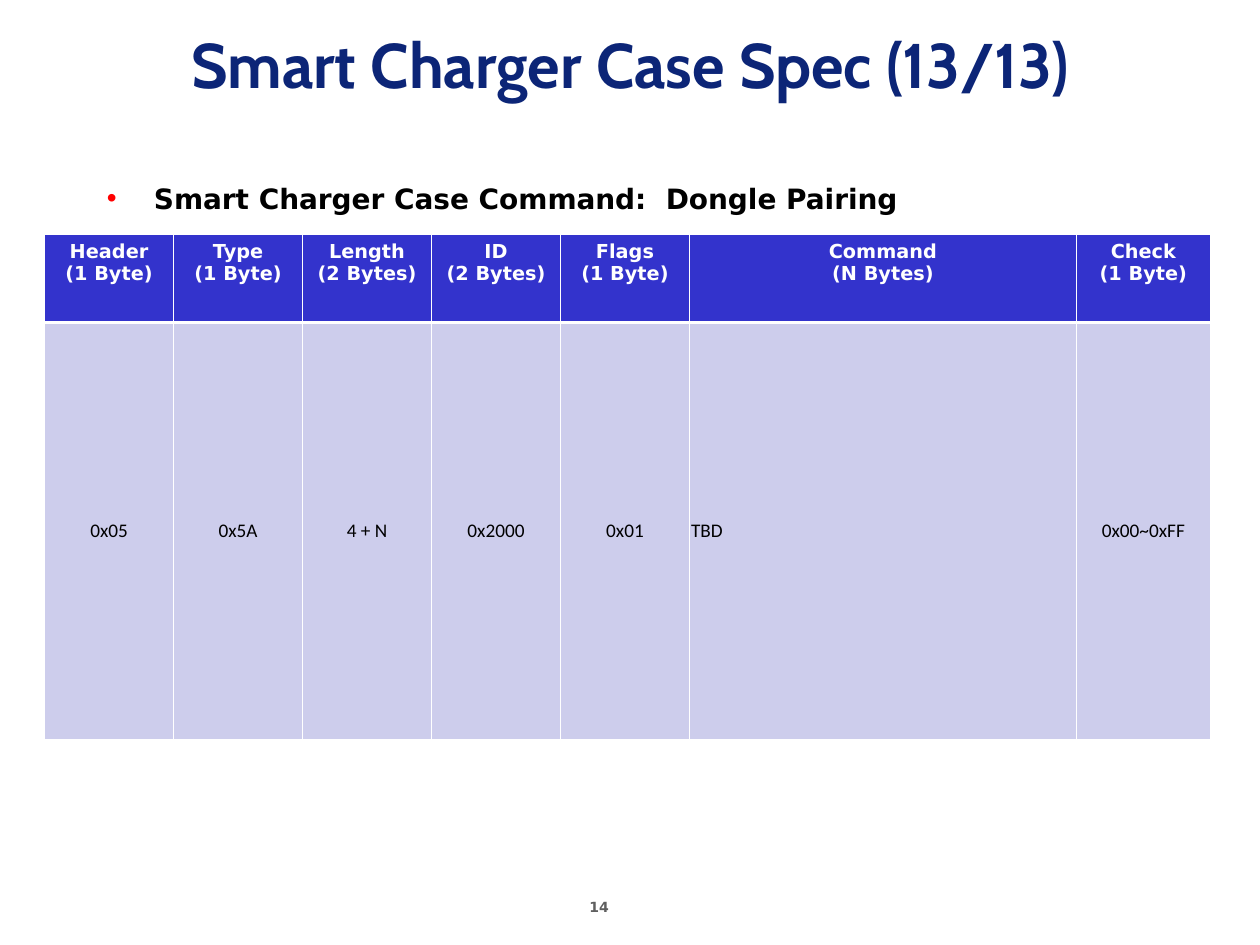
from lxml.etree import SubElement
from pptx import Presentation
from pptx.dml.color import RGBColor
from pptx.enum.text import MSO_ANCHOR as ANCHOR, MSO_AUTO_SIZE as AUTO, PP_ALIGN as ALIGN
from pptx.oxml.ns import qn
from pptx.util import Cm, Pt

NAVY = RGBColor(0x0C, 0x25, 0x77)
BLUE = RGBColor(0x33, 0x33, 0xCC)
LAVENDER = RGBColor(0xCD, 0xCD, 0xEC)
RED = RGBColor(0xFF, 0x00, 0x00)
GREY = RGBColor(0x5F, 0x5F, 0x5F)
BLACK = RGBColor(0x00, 0x00, 0x00)
WHITE = RGBColor(0xFF, 0xFF, 0xFF)

THIN, THICK = Pt(0.45), Pt(1.47)

FIELDS = [  # name, size, value, column width in cm
    ("Header", "(1 Byte)", "0x05", 2.6),
    ("Type", "(1 Byte)", "0x5A", 2.6),
    ("Length", "(2 Bytes)", "4 + N", 2.6),
    ("ID", "(2 Bytes)", "0x2000", 2.6),
    ("Flags", "(1 Byte)", "0x01", 2.6),
    ("Command", "(N Bytes)", "TBD", 7.8),
    ("Check", "(1 Byte)", "0x00~0xFF", 2.7),
]


class CommandSlide:
    heading_font, label_font, value_font = "Cabin", "DejaVu Sans", "Calibri"

    def __init__(self, prs):
        self.s = prs.slides.add_slide(prs.slide_layouts[1])

    def place(self, sp, left, top, width, height):
        sp.left, sp.top, sp.width, sp.height = Cm(left), Cm(top), Cm(width), Cm(height)

    def add_text(self, p, text, size, color, font, bold=True, align=ALIGN.LEFT):
        p.alignment = align
        r = p.add_run()
        r.text = text
        r.font.size, r.font.name, r.font.bold = Pt(size), font, bold
        r.font.color.rgb = color

    def title(self, text):
        sp = self.s.shapes.title
        self.place(sp, 0, 0, 25.4, 2.54)
        tf = sp.text_frame
        tf.auto_size, tf.vertical_anchor = AUTO.NONE, ANCHOR.MIDDLE
        self.add_text(tf.paragraphs[0], text, 36, NAVY, self.heading_font, align=ALIGN.CENTER)

    def bullet(self, text):
        sp = self.s.placeholders[1]
        self.place(sp, 1.9, 3.53, 23.5, 13.13)
        tf = sp.text_frame
        tf.auto_size = AUTO.NONE
        p = tf.paragraphs[0]
        p.space_before = Pt(4)
        self.add_text(p, text, 16, BLACK, self.label_font)
        pPr = p._p.get_or_add_pPr()
        pPr.set("marL", str(Cm(0.95)))
        pPr.set("indent", str(-Cm(0.95)))
        bullet_color = SubElement(pPr, qn("a:buClr"))
        SubElement(bullet_color, qn("a:srgbClr"), val=str(RED))
        SubElement(pPr, qn("a:buChar"), char="•")

    def page_number(self, number):
        sp = self.s.shapes.add_textbox(Cm(11.63), Cm(17.98), Cm(1.96), Cm(0.66))
        tf = sp.text_frame
        tf.word_wrap = False
        self.add_text(tf.paragraphs[0], number, 8, GREY, self.label_font)

    def table(self, fields):
        frame = self.s.shapes.add_table(2, len(fields), Cm(0.9), Cm(4.72), Cm(23.5), Cm(10.19))
        table = frame.table
        table.rows[0].height, table.rows[1].height = Cm(1.78), Cm(8.41)
        for i, (name, size, value, width) in enumerate(fields):
            table.columns[i].width = Cm(width)
            self.header_cell(table.cell(0, i), name, size)
            align = ALIGN.LEFT if name == "Command" else ALIGN.CENTER
            self.value_cell(table.cell(1, i), value, align)

    def header_cell(self, cell, name, size):
        tf = cell.text_frame
        for p, text in ((tf.paragraphs[0], name), (tf.add_paragraph(), size)):
            self.add_text(p, text, 11, WHITE, self.label_font, align=ALIGN.CENTER)
        self.finish_cell(cell, BLUE, top=THIN, bottom=THICK)

    def value_cell(self, cell, value, align):
        cell.vertical_anchor = ANCHOR.MIDDLE
        cell.margin_left = cell.margin_right = Cm(0.03)
        self.add_text(cell.text_frame.paragraphs[0], value, 11, BLACK,
                      self.value_font, bold=False, align=align)
        self.finish_cell(cell, LAVENDER, top=THICK, bottom=THIN)

    def finish_cell(self, cell, fill, top, bottom):
        """Draw the white borders, then the fill, in the order the schema asks for."""
        tcPr = cell._tc.get_or_add_tcPr()
        for side, width in (("L", THIN), ("R", THIN), ("T", top), ("B", bottom)):
            ln = SubElement(tcPr, qn(f"a:ln{side}"), w=str(width))
            SubElement(SubElement(ln, qn("a:solidFill")), qn("a:srgbClr"), val=str(WHITE))
        cell.fill.solid()
        cell.fill.fore_color.rgb = fill


def main():
    prs = Presentation()
    prs.slide_width, prs.slide_height = Cm(25.4), Cm(19.05)
    slide = CommandSlide(prs)
    slide.page_number("14")
    slide.title("Smart Charger Case Spec (13/13)")
    slide.bullet("Smart Charger Case Command:  Dongle Pairing")
    slide.table(FIELDS)
    prs.save("out.pptx")


if __name__ == "__main__":
    main()
